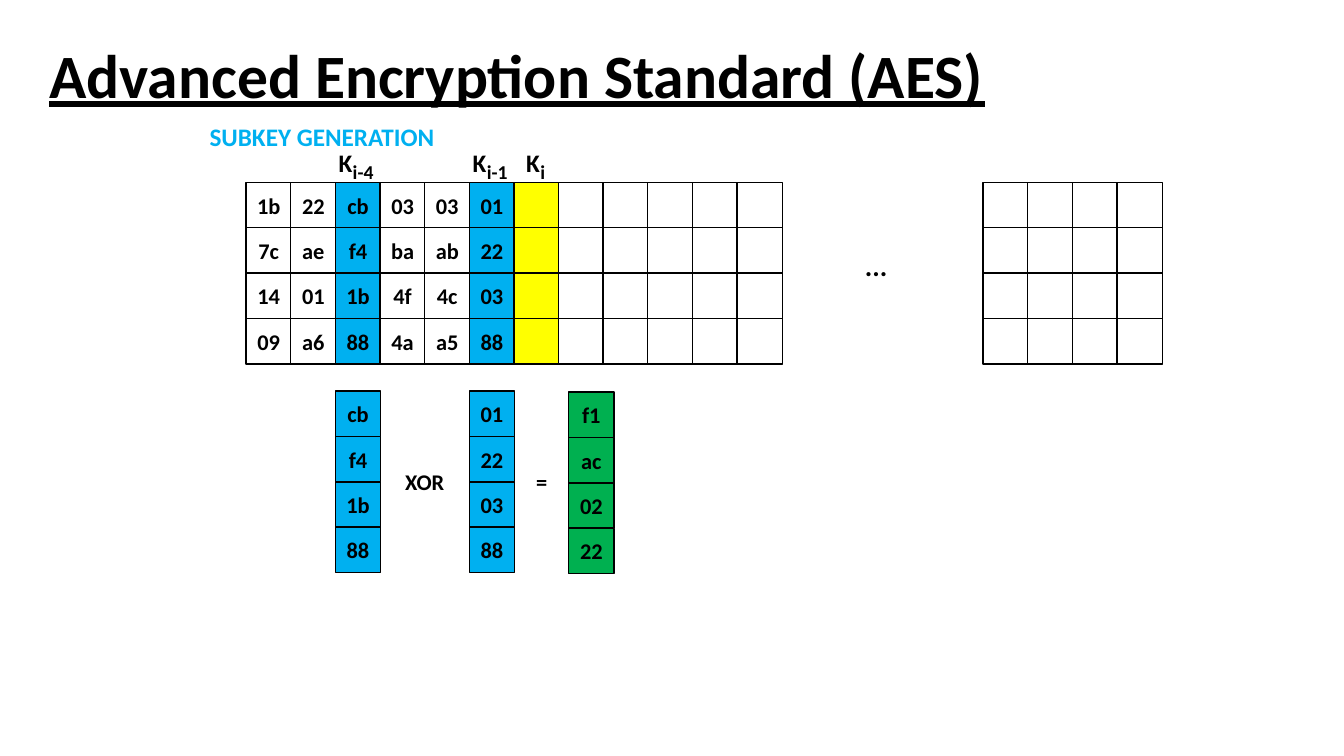
from dataclasses import dataclass

from pptx import Presentation
from pptx.dml.color import RGBColor
from pptx.enum.shapes import MSO_SHAPE
from pptx.enum.text import MSO_ANCHOR, MSO_AUTO_SIZE, PP_ALIGN
from pptx.slide import Slide
from pptx.text.text import _Paragraph
from pptx.util import Inches, Pt


@dataclass(frozen=True)
class Theme:
    font: str = "Calibri"
    black: str = "000000"
    white: str = "FFFFFF"
    blue: str = "00B0F0"
    yellow: str = "FFFF00"
    green: str = "00B050"
    title: int = 44
    label: int = 18
    dots: int = 20
    cell: int = 16
    subscript: int = 14


@dataclass(frozen=True)
class Column:
    left: float
    top: float
    values: tuple[str, ...]
    fill: str


@dataclass(frozen=True)
class Label:
    text: str
    left: float
    top: float
    width: float
    height: float
    size: int
    color: str


THEME = Theme()
CELL = 0.45
PITCH = 4.87 / 11
KEY_LEFT, KEY_TOP, XOR_TOP = 2.44, 1.81, 3.88
LAST_KEY_LEFT = 9.75
BLANK = ("",) * 4
KEY_COLUMNS = (
    ("1b", "7c", "14", "09"),
    ("22", "ae", "01", "a6"),
    ("cb", "f4", "1b", "88"),
    ("03", "ba", "4f", "4a"),
    ("03", "ab", "4c", "a5"),
    ("01", "22", "03", "88"),
) + (BLANK,) * 6
OPERANDS = (2, 5)
FILLS = {2: THEME.blue, 5: THEME.blue, 6: THEME.yellow}


def style(p: _Paragraph, size: int, color: str) -> None:
    p.font.name = THEME.font
    p.font.size = Pt(size)
    p.font.bold = True
    p.font.color.rgb = RGBColor.from_string(color)


def add_title(s: Slide, text: str) -> None:
    sp = s.shapes.title
    sp.left, sp.top = Inches(0.39), Inches(0.05)
    sp.width, sp.height = Inches(11.5), Inches(1.45)
    tf = sp.text_frame
    tf.text = text
    tf.vertical_anchor = MSO_ANCHOR.MIDDLE
    p = tf.paragraphs[0]
    p.alignment = PP_ALIGN.LEFT
    p.line_spacing = 0.9
    p.font.underline = True
    style(p, THEME.title, THEME.black)


def add_label(s: Slide, label: Label) -> None:
    sp = s.shapes.add_textbox(
        Inches(label.left), Inches(label.top), Inches(label.width), Inches(label.height)
    )
    tf = sp.text_frame
    tf.word_wrap = False
    tf.auto_size = MSO_AUTO_SIZE.SHAPE_TO_FIT_TEXT
    tf.text = label.text
    style(tf.paragraphs[0], label.size, label.color)


def add_column(s: Slide, column: Column) -> None:
    for row, value in enumerate(column.values):
        sp = s.shapes.add_shape(
            MSO_SHAPE.RECTANGLE,
            Inches(column.left),
            Inches(column.top + row * CELL),
            Inches(CELL),
            Inches(CELL),
        )
        sp.shadow.inherit = False
        sp.fill.solid()
        sp.fill.fore_color.rgb = RGBColor.from_string(column.fill)
        sp.line.color.rgb = RGBColor.from_string(THEME.black)
        sp.line.width = Pt(1)
        if value:
            tf = sp.text_frame
            tf.margin_left = tf.margin_right = 0
            tf.vertical_anchor = MSO_ANCHOR.MIDDLE
            tf.text = value
            p = tf.paragraphs[0]
            p.alignment = PP_ALIGN.CENTER
            style(p, THEME.cell, THEME.black)


def key_labels(left: float, index: str, index_width: float) -> list[Label]:
    return [
        Label("K", left, 1.41, 0.34, 0.4, THEME.label, THEME.black),
        Label(index, left + 0.14, 1.54, index_width, 0.34, THEME.subscript, THEME.black),
    ]


def main() -> None:
    prs = Presentation()
    prs.slide_width, prs.slide_height = Inches(13.33), Inches(7.5)
    s = prs.slides.add_slide(prs.slide_layouts[5])
    add_title(s, "Advanced Encryption Standard (AES)")

    columns = [
        Column(KEY_LEFT + i * PITCH, KEY_TOP, values, FILLS.get(i, THEME.white))
        for i, values in enumerate(KEY_COLUMNS)
    ]
    columns += [
        Column(LAST_KEY_LEFT + i * PITCH, KEY_TOP, BLANK, THEME.white) for i in range(4)
    ]
    columns += [
        Column(KEY_LEFT + i * PITCH, XOR_TOP, KEY_COLUMNS[i], THEME.blue) for i in OPERANDS
    ]
    columns.append(Column(5.64, XOR_TOP + 0.01, ("f1", "ac", "02", "22"), THEME.green))
    for column in columns:
        add_column(s, column)

    labels = [
        Label("SUBKEY GENERATION", 1.98, 1.15, 2.45, 0.4, THEME.label, THEME.blue),
        Label("...", 8.48, 2.42, 0.43, 0.44, THEME.dots, THEME.black),
        *key_labels(3.26, "i-4", 0.41),
        *key_labels(4.59, "i-1", 0.41),
        *key_labels(5.12, "i", 0.25),
        Label("XOR", 3.92, 4.6, 0.6, 0.37, THEME.cell, THEME.black),
        Label("=", 5.22, 4.6, 0.31, 0.37, THEME.cell, THEME.black),
    ]
    for label in labels:
        add_label(s, label)

    prs.save("out.pptx")


if __name__ == "__main__":
    main()
